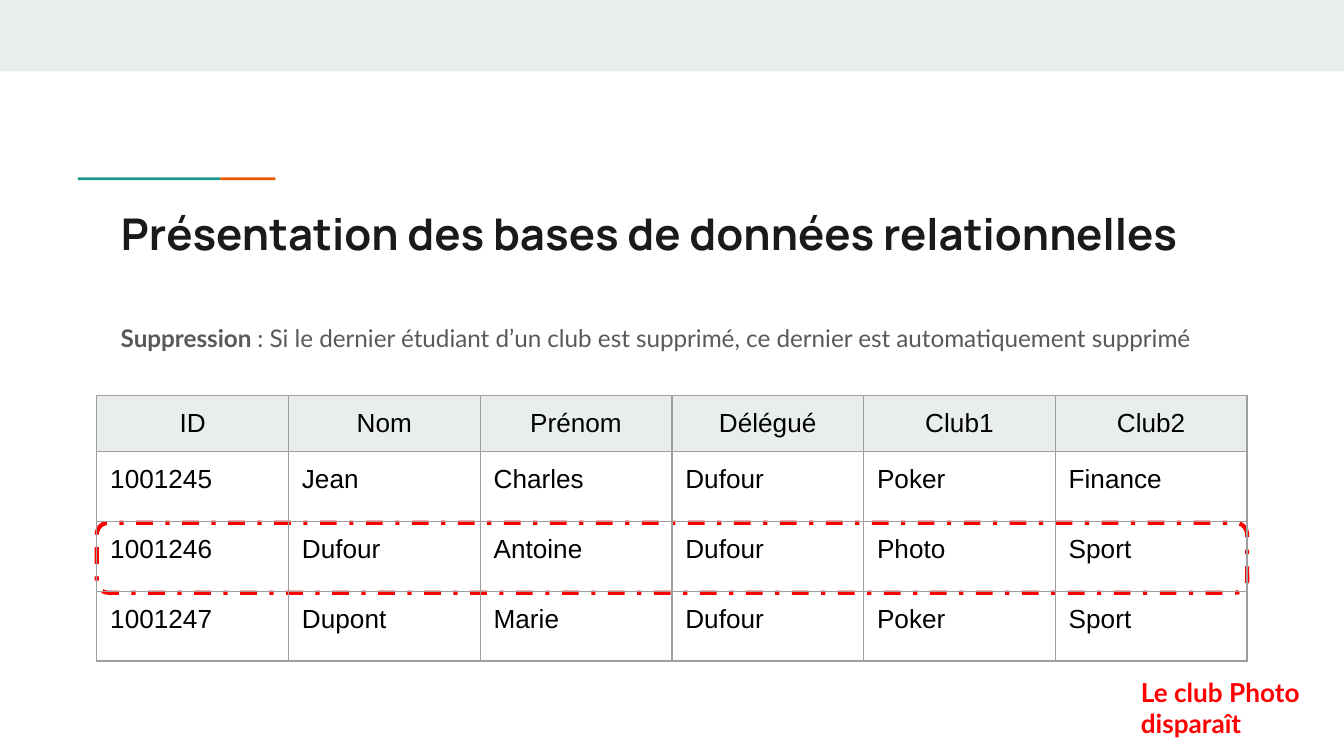
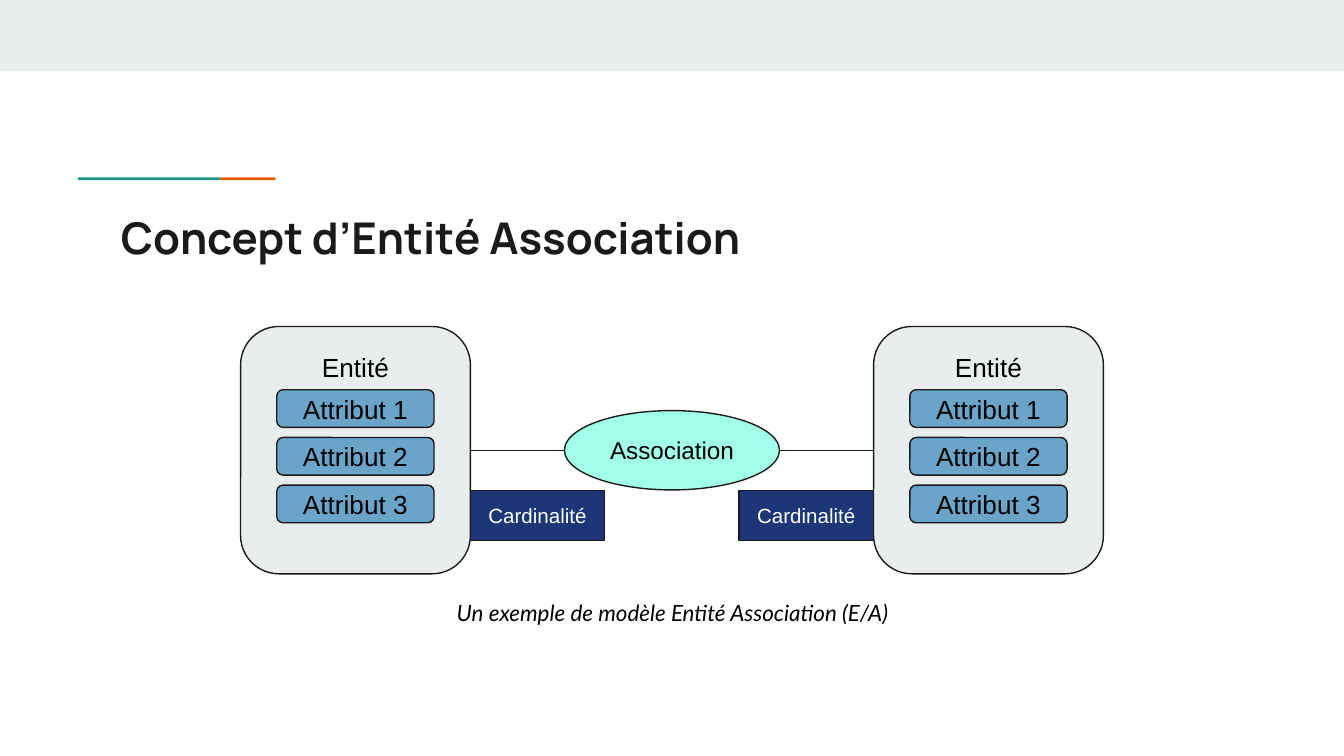
from lxml.etree import SubElement
from pptx import Presentation
from pptx.dml.color import RGBColor
from pptx.enum.dml import MSO_LINE
from pptx.enum.shapes import MSO_CONNECTOR, MSO_SHAPE
from pptx.enum.text import MSO_ANCHOR, MSO_AUTO_SIZE, PP_ALIGN
from pptx.oxml.ns import qn
from pptx.util import Inches, Pt

# Content
TITLE_RELATIONAL = "Présentation des bases de données relationnelles"
RULE = ["Suppression ", ": Si le dernier étudiant d’un club est supprimé, "
        "ce dernier est automatiquement supprimé"]
STUDENTS = [
    ["ID", "Nom", "Prénom", "Délégué", "Club1", "Club2"],
    ["1001245", "Jean", "Charles", "Dufour", "Poker", "Finance"],
    ["1001246", "Dufour", "Antoine", "Dufour", "Photo", "Sport"],
    ["1001247", "Dupont", "Marie", "Dufour", "Poker", "Sport"],
]
WARNING = "Le club Photo disparaît"

TITLE_ENTITY = "Concept d’Entité Association"
ENTITY = "Entité"
ATTRIBUTES = ["Attribut 1", "Attribut 2", "Attribut 3"]
ASSOCIATION = "Association"
CARDINALITY = "Cardinalité"
CAPTION = "Un exemple de modèle Entité Association (E/A)"

# Style
INK = RGBColor(0x1A, 0x1A, 0x1A)
BLACK = RGBColor(0, 0, 0)
WHITE = RGBColor(0xFF, 0xFF, 0xFF)
GREY_TEXT = RGBColor(0x59, 0x59, 0x59)
PALE = RGBColor(0xE9, 0xED, 0xEE)
TEAL = RGBColor(0x1A, 0x99, 0x88)
ORANGE = RGBColor(0xEB, 0x56, 0x00)
RED = RGBColor(0xFF, 0, 0)
BLUE = RGBColor(0x6A, 0xA4, 0xC8)
NAVY = RGBColor(0x1C, 0x36, 0x78)
MINT = RGBColor(0xA2, 0xFF, 0xE8)
GRID = RGBColor(0x9E, 0x9E, 0x9E)
HEAD_FONT, BODY_FONT, PLAIN_FONT = "Manrope", "Lato", "Arial"

# Geometry in inches
SLIDE_W = 10
SLIDE_H = SLIDE_W * 9 / 16
TEXT_X, TEXT_W = 0.8, 8.41
TABLE_X, TABLE_Y, TABLE_W = 0.72, 2.94, 8.56
HEAD_H, ROW_H = 0.4, 0.52
ENTITY_Y, ENTITY_W, ENTITY_H = 2.43, 1.71, 1.84
ENTITY_LEFTS = (1.79, 6.5)
ATTR_Y, ATTR_W, ATTR_H, ATTR_SPAN = 2.9, 1.17, 0.28, 0.71
ASSOC_W, ASSOC_H = 1.6, 0.59
CARD_W, CARD_H, CARD_Y = 1, 0.37, 3.65


def format_text(tf, font, size, color, align=PP_ALIGN.LEFT,
                anchor=MSO_ANCHOR.TOP, bold=False, italic=False):
    tf.word_wrap = True
    tf.auto_size = MSO_AUTO_SIZE.NONE
    tf.vertical_anchor = anchor
    tf.margin_left = tf.margin_right = Inches(0.1)
    tf.margin_top = tf.margin_bottom = Inches(0.1)
    for p in tf.paragraphs:
        p.alignment = align
        for r in p.runs:
            r.font.name, r.font.size = font, Pt(size)
            r.font.color.rgb = color
            r.font.bold, r.font.italic = bold, italic


def add_box(slide, kind, box, fill=None, line=None, width=0.75):
    sp = slide.shapes.add_shape(kind, *map(Inches, box))
    sp.shadow.inherit = False
    if fill is None:
        sp.fill.background()
    else:
        sp.fill.solid()
        sp.fill.fore_color.rgb = fill
    if line is None:
        sp.line.fill.background()
    else:
        sp.line.color.rgb = line
        sp.line.width = Pt(width)
    return sp


def add_label(slide, kind, box, fill, text, size=14, color=BLACK,
              anchor=MSO_ANCHOR.MIDDLE):
    sp = add_box(slide, kind, box, fill, INK)
    sp.text_frame.text = text
    format_text(sp.text_frame, PLAIN_FONT, size, color, PP_ALIGN.CENTER, anchor)
    return sp


def add_text(slide, box, text, size, color, **style):
    tf = slide.shapes.add_textbox(*map(Inches, box)).text_frame
    tf.text = text
    format_text(tf, BODY_FONT, size, color, **style)
    return tf


def add_slide(prs, layout, title, top):
    slide = prs.slides.add_slide(layout)
    sp = slide.shapes.title
    sp.left, sp.top = Inches(TEXT_X), Inches(top)
    sp.width, sp.height = Inches(TEXT_W), Inches(0.59)
    sp.text_frame.text = title
    format_text(sp.text_frame, HEAD_FONT, 23.4, INK, bold=True)
    return slide


def decorate_layout(layout, slide):
    """Draw the top band and the accent rule, then move them to the layout."""
    parts = [((0, 0, SLIDE_W, 0.53), PALE),
             ((0.58, 1.32, 1.06, 0.02), TEAL),
             ((1.64, 1.32, 0.41, 0.02), ORANGE)]
    for i, (box, color) in enumerate(parts):
        sp = add_box(slide, MSO_SHAPE.RECTANGLE, box, color)
        layout.shapes.element.insert(2 + i, sp.element)


def set_borders(cell):
    tc_pr = cell._tc.get_or_add_tcPr()
    for side in ("a:lnL", "a:lnR", "a:lnT", "a:lnB"):
        ln = SubElement(tc_pr, qn(side), w=str(Pt(0.75)))
        fill = SubElement(ln, qn("a:solidFill"))
        SubElement(fill, qn("a:srgbClr"), val=str(GRID))


def add_students(slide):
    rows, cols = len(STUDENTS), len(STUDENTS[0])
    heights = [HEAD_H] + [ROW_H] * (rows - 1)
    table = slide.shapes.add_table(
        rows, cols, Inches(TABLE_X), Inches(TABLE_Y),
        Inches(TABLE_W), Inches(sum(heights))).table
    table.first_row = table.horz_banding = False
    for i, (row, height) in enumerate(zip(STUDENTS, heights)):
        table.rows[i].height = Inches(height)
        for j, text in enumerate(row):
            cell = table.cell(i, j)
            cell.text = text
            cell.margin_left = cell.margin_right = Inches(0.1)
            cell.margin_top = cell.margin_bottom = Inches(0.1)
            p = cell.text_frame.paragraphs[0]
            p.alignment = PP_ALIGN.LEFT if i else PP_ALIGN.CENTER
            font = p.runs[0].font
            font.name, font.size = PLAIN_FONT, Pt(14)
            font.color.rgb = BLACK
            set_borders(cell)
            if i:
                cell.fill.background()
            else:
                cell.fill.solid()
                cell.fill.fore_color.rgb = PALE


def build_relational(slide):
    # Deletion rule
    tf = add_text(slide, (TEXT_X, 2.27, TEXT_W, 2.47), RULE[0], 13, GREY_TEXT)
    p = tf.paragraphs[0]
    p.add_run().text = RULE[1]
    format_text(tf, BODY_FONT, 13, GREY_TEXT)
    p.runs[0].font.bold = True
    p.line_spacing, p.space_after = 1.15, Pt(12)

    # Deleted row, its effect and the table
    mark = add_box(slide, MSO_SHAPE.ROUNDED_RECTANGLE,
                   (TABLE_X, 3.89, TABLE_W, ROW_H), line=RED, width=2.25)
    mark.line.dash_style = MSO_LINE.DASH_DOT
    add_text(slide, (8.39, 4.93, 1.61, 0.67), WARNING, 14, RED, bold=True)
    add_students(slide)


def add_entity(slide, left):
    entity = add_label(slide, MSO_SHAPE.ROUNDED_RECTANGLE,
                       (left, ENTITY_Y, ENTITY_W, ENTITY_H), PALE, ENTITY,
                       anchor=MSO_ANCHOR.TOP)
    step = ATTR_SPAN / (len(ATTRIBUTES) - 1)
    for i, name in enumerate(ATTRIBUTES):
        add_label(slide, MSO_SHAPE.ROUNDED_RECTANGLE,
                  (left + (ENTITY_W - ATTR_W) / 2, ATTR_Y + i * step,
                   ATTR_W, ATTR_H), BLUE, name)
    return entity


def build_entity(slide):
    # Entities and their association
    entities = [add_entity(slide, left) for left in ENTITY_LEFTS]
    mid_y = ENTITY_Y + ENTITY_H / 2
    assoc_x = (SLIDE_W - ASSOC_W) / 2
    add_label(slide, MSO_SHAPE.OVAL,
              (assoc_x, mid_y - ASSOC_H / 2, ASSOC_W, ASSOC_H),
              MINT, ASSOCIATION, 13)

    # Links and cardinalities, one per entity
    left_edge, right_edge = ENTITY_LEFTS[0] + ENTITY_W, ENTITY_LEFTS[1]
    links = [(entities[0], 3, left_edge, assoc_x, left_edge),
             (entities[1], 1, right_edge, assoc_x + ASSOC_W,
              right_edge - CARD_W)]
    for entity, site, start, end, card_x in links:
        line = slide.shapes.add_connector(
            MSO_CONNECTOR.STRAIGHT, Inches(start), Inches(mid_y),
            Inches(end), Inches(mid_y))
        line.begin_connect(entity, site)
        line.line.color.rgb, line.line.width = INK, Pt(0.75)
        SubElement(line.element.spPr, qn("a:effectLst"))
        add_label(slide, MSO_SHAPE.FLOWCHART_PROCESS,
                  (card_x, CARD_Y, CARD_W, CARD_H), NAVY, CARDINALITY, 11, WHITE)

    add_text(slide, (2.8, 4.36, 4.41, 0.4), CAPTION, 12, BLACK,
             align=PP_ALIGN.CENTER, italic=True)


def main():
    prs = Presentation()
    prs.slide_width, prs.slide_height = Inches(SLIDE_W), Inches(SLIDE_H)
    layout = prs.slide_layouts[5]
    relational = add_slide(prs, layout, TITLE_RELATIONAL, 1.44)
    decorate_layout(layout, relational)
    build_relational(relational)
    build_entity(add_slide(prs, layout, TITLE_ENTITY, 1.47))
    prs.save("out.pptx")


if __name__ == "__main__":
    main()
